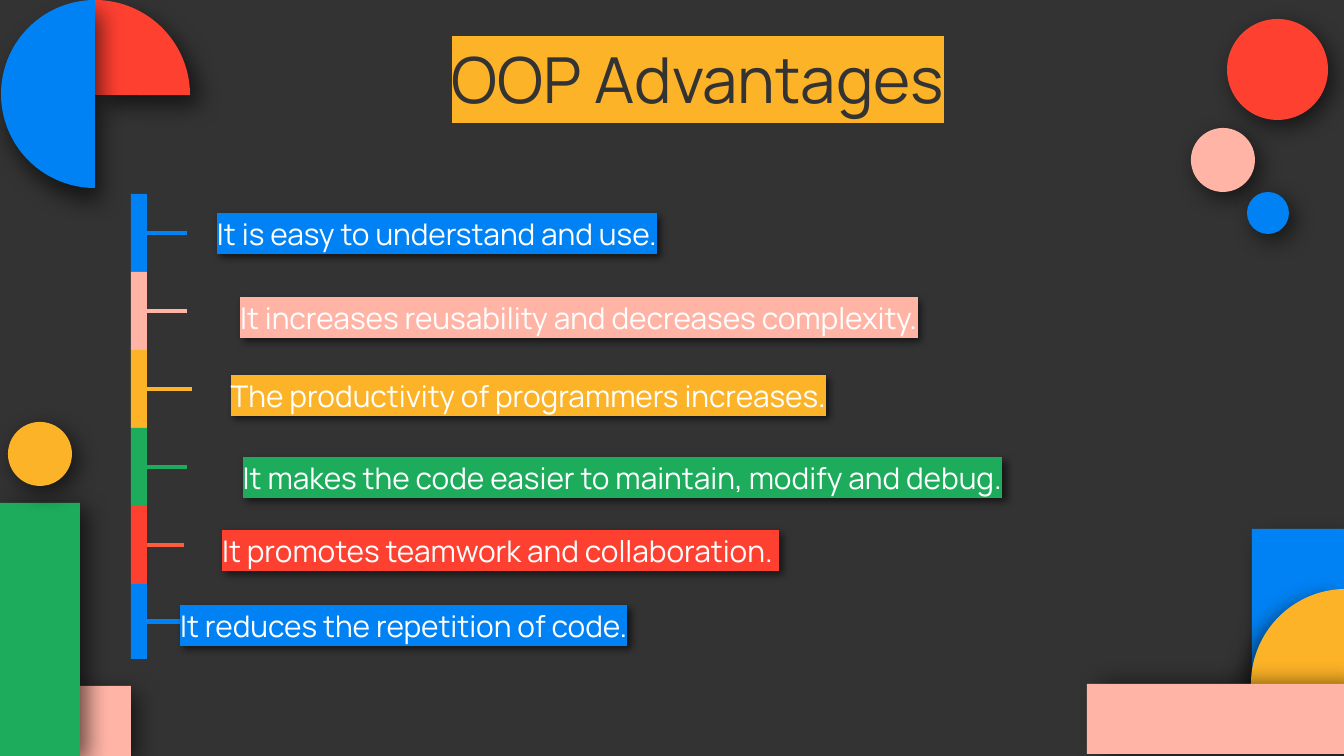
from lxml import etree
from pptx import Presentation
from pptx import util as u
from pptx.dml.color import RGBColor
from pptx.enum import shapes, text
from pptx.oxml import ns

SCALE = 914400 / 134.4
BLUE = RGBColor(0x00, 0x82, 0xF4)
PINK = RGBColor(0xFF, 0xB4, 0xA6)
YELLOW = RGBColor(0xFD, 0xB3, 0x27)
GREEN = RGBColor(0x1D, 0xAC, 0x5C)
RED = RGBColor(0xFE, 0x40, 0x31)
ORANGE = RGBColor(0xFF, 0x5B, 0x3D)
DARK = RGBColor(0x33, 0x33, 0x33)
WHITE = RGBColor(0xFF, 0xFF, 0xFF)
BLACK = RGBColor(0x00, 0x00, 0x00)

RECT = shapes.MSO_SHAPE.RECTANGLE
OVAL = shapes.MSO_SHAPE.OVAL
PIE = shapes.MSO_SHAPE.PIE
CENTER = text.PP_ALIGN.CENTER
LEFT = text.PP_ALIGN.LEFT

STRIP_LEFT, STRIP_TOP, STRIP_WIDTH, STEP = 131, 194, 16, 78
TEXT_HEIGHT = 60

DECOR = [
    (RECT, (52, 686, 79, 70), PINK, (4.5, 50), ()),
    (RECT, (0, 503, 80, 253), GREEN, (4.5, 33), ()),
    (OVAL, (8, 422, 64, 64), YELLOW, (4.5, 50), ()),
    (OVAL, (1191, 128, 64, 64), PINK, (4.5, 50), ()),
    (OVAL, (1227, 19, 101, 101), RED, (4.5, 50), ()),
    (OVAL, (1247, 192, 42, 42), BLUE, (4.5, 50), ()),
    (PIE, (0, 0, 190, 190), RED, (7.5, 50), (162, 0)),
    (RECT, (1252, 529, 92, 155), BLUE, (7.5, 50), ()),
    (PIE, (1251, 589, 190, 190), YELLOW, (7.5, 134), (108, 162)),
    (PIE, (1, 0, 188, 188), BLUE, (7.5, 68), (54, 162)),
    (RECT, (1087, 684, 257, 70), PINK, (7.5, 0), ()),
]

ADVANTAGES = [
    ("It is easy to understand and use.", (165, 202, 544), BLUE, BLUE, 78, 187, CENTER),
    ("It increases reusability and decreases complexity.", (175, 286, 808), PINK, PINK, 78, 187, CENTER),
    ("The productivity of programmers increases.", (159, 364, 739), YELLOW, YELLOW, 78, 192, CENTER),
    ("It makes the code easier to maintain, modify and debug.", (159, 446, 927), GREEN, GREEN, 78, 187, CENTER),
    ("It promotes teamwork and collaboration. ", (157, 519, 687), RED, ORANGE, 78, 184, CENTER),
    ("It reduces the repetition of code.", (167, 594, 525), BLUE, BLUE, 75, 184, LEFT),
]


def px(*lengths):
    """Turn pixel lengths into EMU."""
    return [u.Emu(round(length * SCALE)) for length in lengths]


def apply(target, values):
    """Set every attribute named in a dict of format values."""
    for name, value in values.items():
        setattr(target, name, value)


def add_effect(shape, shadow=None, blur=12.4, alpha=59):
    """Give a shape an outer shadow of (distance, angle), or none."""
    effects = etree.SubElement(shape._element.spPr, ns.qn("a:effectLst"))
    if shadow:
        distance, angle = shadow
        outer = etree.SubElement(
            effects, ns.qn("a:outerShdw"), blurRad=str(u.Pt(blur)),
            dist=str(u.Pt(distance)), dir=str(angle * 60000),
            algn="bl", rotWithShape="0")
        color = etree.SubElement(outer, ns.qn("a:srgbClr"), val=str(BLACK))
        etree.SubElement(color, ns.qn("a:alpha"), val=str(alpha * 1000))


def add_figure(page, kind, place, color, shadow=None, angles=()):
    """Add a filled preset shape without an outline."""
    figure = page.shapes.add_shape(kind, *px(*place))
    for index, angle in enumerate(angles):
        figure.adjustments[index] = angle
    figure.fill.solid()
    figure.fill.fore_color.rgb = color
    figure.line.fill.background()
    add_effect(figure, shadow)
    return figure


def add_label(page, words, place, size, color, marker, align=CENTER):
    """Add a text box whose words carry a highlight colour."""
    box = page.shapes.add_textbox(*px(*place))
    inset = u.Inches(0.1)
    apply(box.text_frame, {
        "word_wrap": True, "vertical_anchor": text.MSO_ANCHOR.TOP,
        "margin_left": inset, "margin_right": inset,
        "margin_top": inset, "margin_bottom": inset})
    para = box.text_frame.paragraphs[0]
    para.alignment = align
    span = para.add_run()
    span.text = words
    apply(span.font, {"name": "Manrope", "size": u.Pt(size)})
    span.font.color.rgb = color
    highlight = etree.Element(ns.qn("a:highlight"))
    etree.SubElement(highlight, ns.qn("a:srgbClr"), val=str(marker))
    span.font._element.find(ns.qn("a:solidFill")).addnext(highlight)
    return box


def add_tick(page, segment, end, middle, color):
    """Add a line from the right side of a strip segment."""
    start = STRIP_LEFT + STRIP_WIDTH
    tick = page.shapes.add_connector(
        shapes.MSO_CONNECTOR.STRAIGHT, *px(start, middle, end, middle))
    tick.begin_connect(segment, 3)
    tick.end_y = tick.begin_y
    tick.line.color.rgb = color
    tick.line.width = u.Pt(2.25)
    add_effect(tick)


def add_advantage(page, index, words, place, color, tick_color, height, end, align):
    """Add one strip segment with its tick and its sentence."""
    top = STRIP_TOP + index * STEP
    segment = add_figure(page, RECT, (STRIP_LEFT, top, STRIP_WIDTH, height), color)
    add_tick(page, segment, end, top + height / 2, tick_color)
    box = add_label(page, words, (*place, TEXT_HEIGHT), 16, WHITE, color, align)
    add_effect(box, (2, 45), blur=4)


def main():
    """Build the slide and save the deck."""
    deck = Presentation()
    deck.slide_width, deck.slide_height = px(1344, 756)
    page = deck.slides.add_slide(deck.slide_layouts[6])
    page.background.fill.solid()
    page.background.fill.fore_color.rgb = DARK
    for figure in DECOR:
        add_figure(page, *figure)
    add_label(page, "OOP Advantages", (290, 27, 816, 101), 34, DARK, YELLOW)
    for index, advantage in enumerate(ADVANTAGES):
        add_advantage(page, index, *advantage)
    deck.save("out.pptx")


if __name__ == "__main__":
    main()
